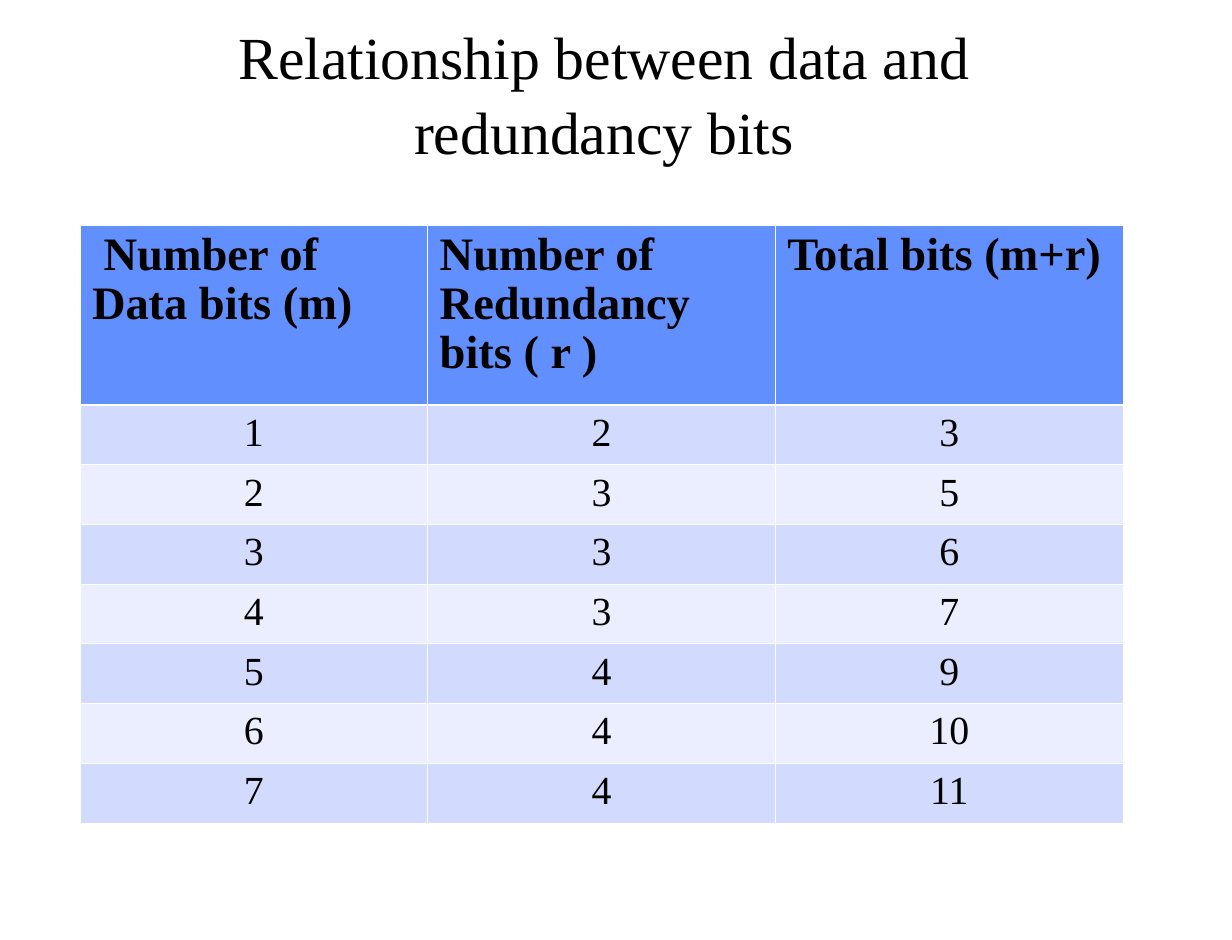
from lxml import etree
from pptx import Presentation
from pptx import util as u
from pptx.dml.color import RGBColor
from pptx.enum import text
from pptx.oxml.ns import qn

COLORS = {
    "ink": "000000",
    "border": "FFFFFF",
    "header": "618FFD",
    "odd": "D2DBFE",
    "even": "EAEEFF",
}
HEADINGS = (" Number of Data bits (m)", "Number of Redundancy bits ( r )", "Total bits (m+r)")
REDUNDANCY_BITS = (2, 3, 3, 3, 4, 4, 4)


class SlideBuilder:
    font_name = "Times New Roman"

    def __init__(self, deck):
        self.page = deck.slides.add_slide(deck.slide_layouts[5])

    def color(self, name):
        return RGBColor.from_string(COLORS[name])

    def format_paragraph(self, para, size, align, spacing, bold=False):
        para.alignment = align
        para.line_spacing = spacing
        para.font.name = self.font_name
        para.font.size = u.Pt(size)
        para.font.bold = bold
        para.font.color.rgb = self.color("ink")

    def title(self, words, left, top, width, height):
        box = self.page.shapes.title
        box.left, box.top = u.Inches(left), u.Inches(top)
        box.width, box.height = u.Inches(width), u.Inches(height)
        frame = box.text_frame
        frame.text = words
        frame.word_wrap = True
        frame.auto_size = text.MSO_AUTO_SIZE.NONE
        frame.vertical_anchor = text.MSO_ANCHOR.MIDDLE
        self.format_paragraph(frame.paragraphs[0], 36, text.PP_ALIGN.CENTER, 1.05)

    def table(self, rows, left, top, column_width, header_height, row_height):
        columns = len(rows[0])
        height = header_height + row_height * (len(rows) - 1)
        table = self.page.shapes.add_table(
            len(rows), columns, u.Inches(left), u.Inches(top),
            u.Inches(column_width * columns), u.Inches(height)).table
        for column in table.columns:
            column.width = u.Inches(column_width)
        for number, values in enumerate(rows):
            table.rows[number].height = u.Inches(row_height if number else header_height)
            for cell, value in zip(table.rows[number].cells, values):
                self.cell(cell, str(value), number)

    def cell(self, cell, words, row):
        cell.text = words
        para = cell.text_frame.paragraphs[0]
        if row == 0:
            fill = "header"
            self.format_paragraph(para, 28, text.PP_ALIGN.LEFT, 0.95, bold=True)
        else:
            fill = "odd" if row % 2 else "even"
            self.format_paragraph(para, 24, text.PP_ALIGN.CENTER, 1.0)
        self.borders(cell, top=1.47 if row == 1 else 0.45, bottom=0.45 if row else 1.47)
        cell.fill.solid()
        cell.fill.fore_color.rgb = self.color(fill)

    def borders(self, cell, top, bottom):
        properties = cell._tc.get_or_add_tcPr()
        for side, points in (("L", 0.45), ("R", 0.45), ("T", top), ("B", bottom)):
            line = etree.SubElement(properties, qn(f"a:ln{side}"), w=str(u.Pt(points)))
            fill = etree.SubElement(line, qn("a:solidFill"))
            etree.SubElement(fill, qn("a:srgbClr"), val=COLORS["border"])


def main():
    deck = Presentation()
    deck.slide_width, deck.slide_height = u.Inches(10.31), u.Inches(7.87)
    builder = SlideBuilder(deck)
    builder.table(
        [HEADINGS] + [(m, r, m + r) for m, r in enumerate(REDUNDANCY_BITS, start=1)],
        left=0.67, top=1.89, column_width=2.91, header_height=1.5, row_height=0.5)
    builder.title("Relationship between data and redundancy bits", 0.67, 0.11, 8.77, 1.31)
    deck.save("out.pptx")


if __name__ == "__main__":
    main()
